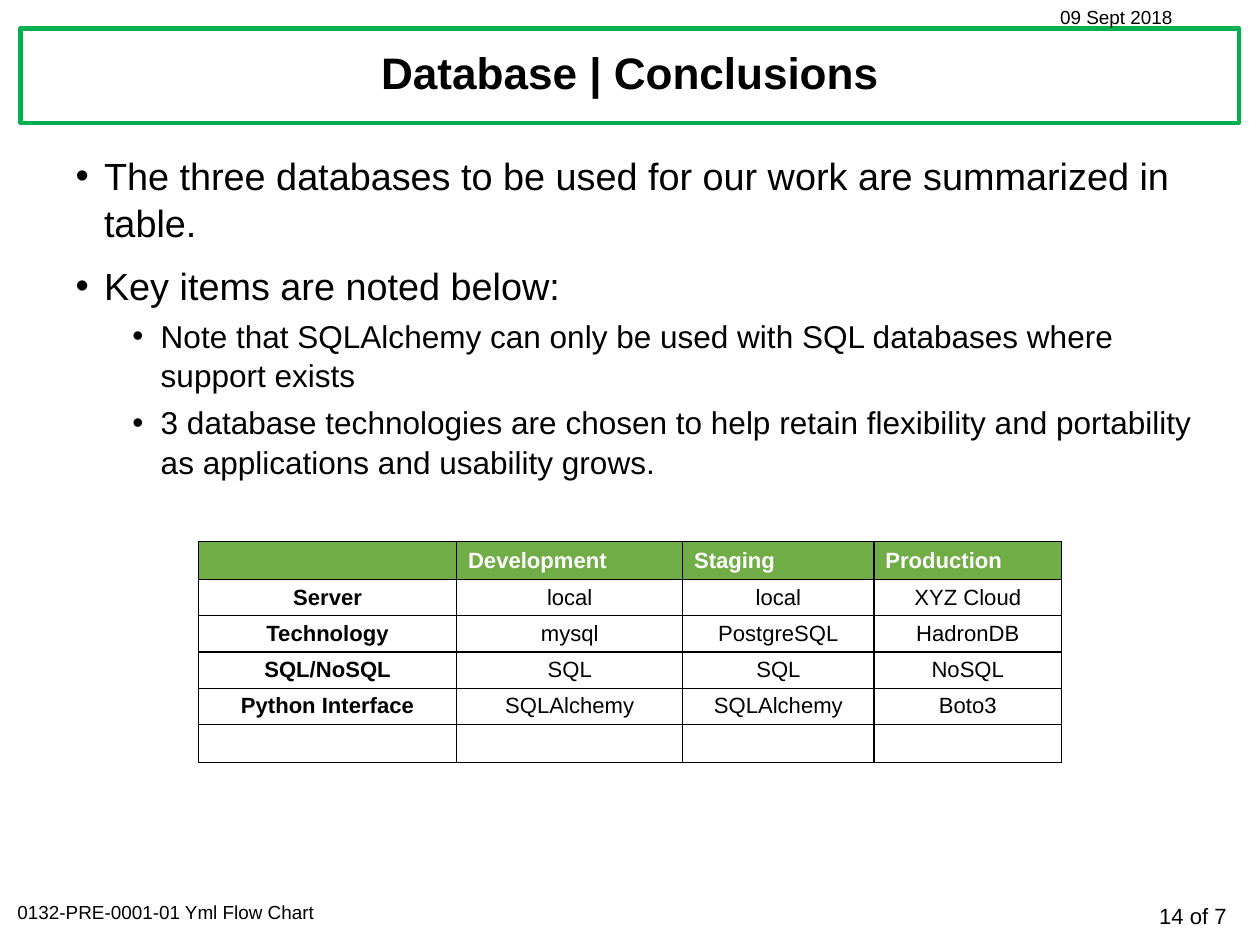
from lxml import etree
from pptx import Presentation
from pptx.dml.color import RGBColor
from pptx.enum.shapes import MSO_SHAPE as Shape
from pptx.enum.text import MSO_ANCHOR as Anchor, PP_ALIGN as Align
from pptx.oxml.ns import qn
from pptx.util import Pt

FONT = "Arial"
BLACK, WHITE = "000000", "FFFFFF"
FRAME_GREEN, HEADER_GREEN = "00B050", "70AD47"

BULLETS = [
    (0, "The three databases to be used for our work are summarized in table."),
    (0, "Key items are noted below:"),
    (1, "Note that SQLAlchemy can only be used with SQL databases where support exists"),
    (1, "3 database technologies are chosen to help retain flexibility and portability "
        "as applications and usability grows."),
]
DATABASES = [
    ["", "Development", "Staging", "Production"],
    ["Server", "local", "local", "XYZ Cloud"],
    ["Technology", "mysql", "PostgreSQL", "HadronDB"],
    ["SQL/NoSQL", "SQL", "SQL", "NoSQL"],
    ["Python Interface", "SQLAlchemy", "SQLAlchemy", "Boto3"],
    ["", "", "", ""],
]
COLUMN_WIDTHS = [164, 143.5, 121.5, 119]
ROW_HEIGHTS = [24, 23, 23, 23, 23, 24]


def colour(hex_code):
    return RGBColor.from_string(hex_code)


def style(para, size, hex_code=BLACK, bold=False, align=Align.LEFT):
    para.alignment = align
    font = para.font
    font.name, font.size, font.bold = FONT, Pt(size), bold
    font.color.rgb = colour(hex_code)


def add_text_box(slide, left, top, width, height):
    box = slide.shapes.add_textbox(Pt(left), Pt(top), Pt(width), Pt(height))
    box.text_frame.word_wrap = True
    return box.text_frame


def add_label(slide, text, size, box, align=Align.LEFT):
    para = add_text_box(slide, *box).paragraphs[0]
    para.text = text
    style(para, size, align=align)


def add_title(slide, text, left, top, width, height):
    box = Pt(left), Pt(top), Pt(width), Pt(height)
    frame = slide.shapes.add_shape(Shape.RECTANGLE, *box)
    frame.shadow.inherit = False
    frame.fill.solid()
    frame.fill.fore_color.rgb = colour(WHITE)
    frame.line.color.rgb = colour(FRAME_GREEN)
    frame.line.width = Pt(2.75)

    title = slide.shapes.title
    frame.element.addnext(title.element)
    title.left, title.top, title.width, title.height = box
    title.text_frame.vertical_anchor = Anchor.MIDDLE
    para = title.text_frame.paragraphs[0]
    para.text = text
    para.line_spacing = 0.9
    style(para, 28, bold=True, align=Align.CENTER)


def add_bullets(slide, items, left, top, width, height):
    text_frame = add_text_box(slide, left, top, width, height)
    for index, (level, text) in enumerate(items):
        para = text_frame.add_paragraph() if index else text_frame.paragraphs[0]
        para.text = text
        para.level = level
        para.line_spacing = 1.04
        if index:
            para.space_before = Pt(5 if level else 10)
        properties = para._p.get_or_add_pPr()
        properties.set("marL", str(Pt(18 + 36 * level)))
        properties.set("indent", str(Pt(-18)))
        etree.SubElement(properties, qn("a:buFont"), typeface=FONT)
        etree.SubElement(properties, qn("a:buChar"), char="•")
        style(para, 20 if level else 24)


def add_borders(cell):
    properties = cell._tc.get_or_add_tcPr()
    for side in ("lnL", "lnR", "lnT", "lnB"):
        line = etree.SubElement(properties, qn(f"a:{side}"), w=str(Pt(1)))
        fill = etree.SubElement(line, qn("a:solidFill"))
        etree.SubElement(fill, qn("a:srgbClr"), val=BLACK)


def add_database_table(slide, left, top):
    table = slide.shapes.add_table(
        len(DATABASES), len(COLUMN_WIDTHS), Pt(left), Pt(top),
        Pt(sum(COLUMN_WIDTHS)), Pt(sum(ROW_HEIGHTS))).table
    table.first_row = table.horz_banding = False
    for column, width in zip(table.columns, COLUMN_WIDTHS):
        column.width = Pt(width)
    for row_index, (row, height) in enumerate(zip(table.rows, ROW_HEIGHTS)):
        row.height = Pt(height)
        header = row_index == 0
        for column_index, cell in enumerate(row.cells):
            cell.margin_top = cell.margin_bottom = Pt(1)
            cell.vertical_anchor = Anchor.MIDDLE
            add_borders(cell)
            if header:
                cell.fill.solid()
                cell.fill.fore_color.rgb = colour(HEADER_GREEN)
            else:
                cell.fill.background()
            para = cell.text_frame.paragraphs[0]
            para.text = DATABASES[row_index][column_index]
            style(para, 14, WHITE if header else BLACK,
                  bold=header or column_index == 0,
                  align=Align.LEFT if header else Align.CENTER)


def add_page_labels(slide):
    add_label(slide, "14 of 7", 14, (677, 569.5, 109, 24), Align.RIGHT)
    add_label(slide, "0132-PRE-0001-01 Yml Flow Chart", 12, (4, 568, 287, 22))
    add_label(slide, "09 Sept 2018", 12, (666, 0, 121, 22))


def main():
    deck = Presentation()
    deck.slide_width, deck.slide_height = Pt(800), Pt(600)
    slide = deck.slides.add_slide(deck.slide_layouts[5])
    add_title(slide, "Database | Conclusions", 13, 18, 773.5, 60)
    add_page_labels(slide)
    add_bullets(slide, BULLETS, 41, 92, 728, 220)
    add_database_table(slide, 126, 344)
    deck.save("out.pptx")


if __name__ == "__main__":
    main()
